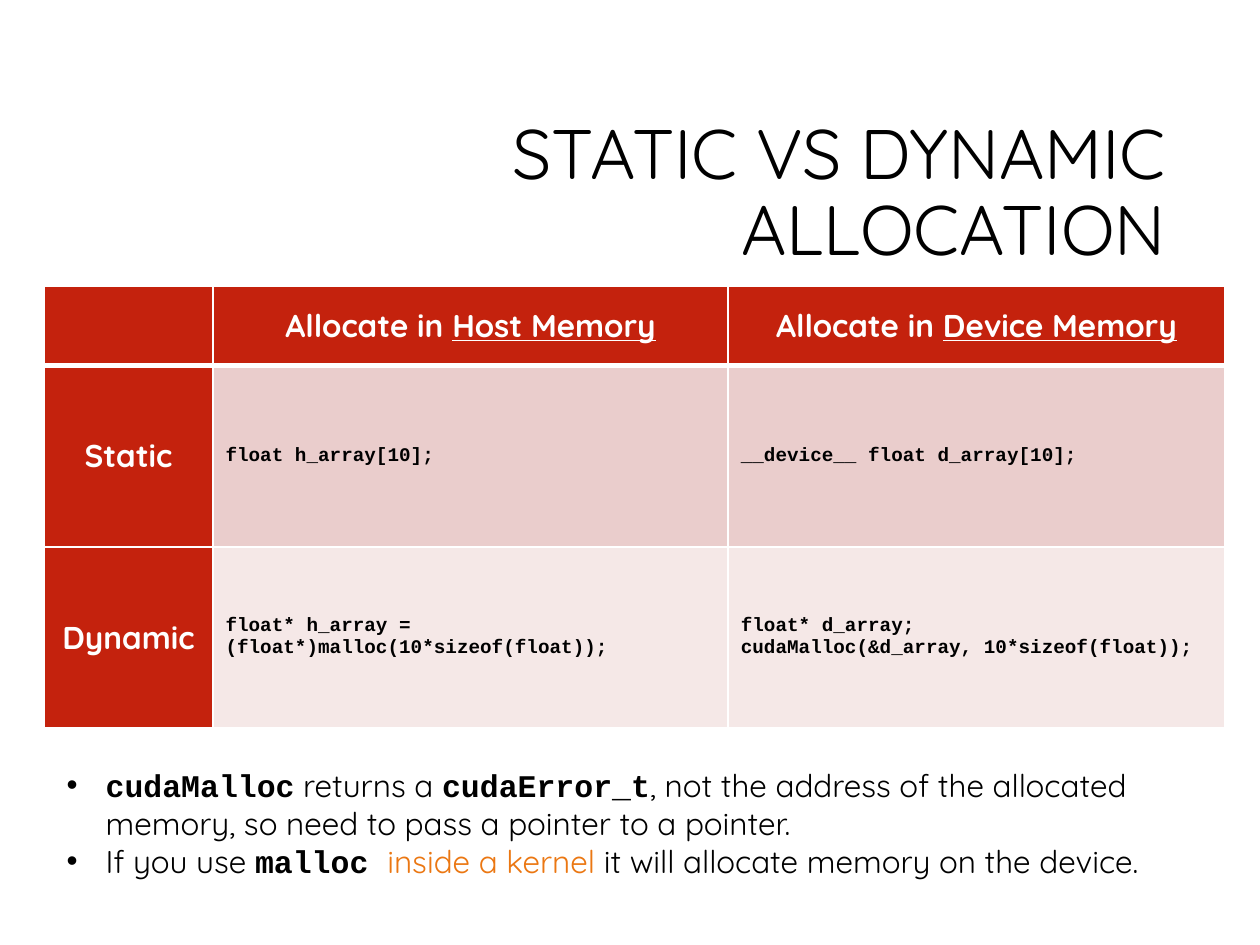
import pptx
import pptx.dml.color
import pptx.enum.text
import pptx.oxml
import pptx.oxml.ns
import pptx.util
from lxml import etree

Inches = pptx.util.Inches
RGBColor = pptx.dml.color.RGBColor
ALIGN = pptx.enum.text.PP_ALIGN
ANCHOR = pptx.enum.text.MSO_ANCHOR

BLACK = RGBColor(0x00, 0x00, 0x00)
WHITE = RGBColor(0xFF, 0xFF, 0xFF)
RED = RGBColor(0xC4, 0x22, 0x0D)
ROSE = RGBColor(0xEA, 0xCD, 0xCC)
PALE_ROSE = RGBColor(0xF5, 0xE8, 0xE7)
ORANGE = RGBColor(0xEB, 0x77, 0x12)

BODY_FONT = "Quicksand"
CODE_FONT = "Courier New"


def add_run(paragraph, text, font=BODY_FONT, size=18, color=BLACK, bold=False, underline=False):
    run = paragraph.add_run()
    run.text = text
    run.font.name = font
    run.font.size = pptx.util.Pt(size)
    run.font.color.rgb = color
    run.font.bold = bold
    run.font.underline = underline


def add_child(parent, tag, **attributes):
    child = etree.SubElement(parent, pptx.oxml.ns.qn(tag))
    for name, value in attributes.items():
        child.set(name, str(value))
    return child


def write_paragraphs(text_frame, paragraphs, align=ALIGN.LEFT, **style):
    """Fill a frame from lists of (text, format) runs; style is the shared default."""
    for index, runs in enumerate(paragraphs):
        paragraph = text_frame.add_paragraph() if index else text_frame.paragraphs[0]
        paragraph.alignment = align
        for text, run_style in runs:
            add_run(paragraph, text, **{**style, **run_style})


class SlideBuilder:
    heading = {"align": ALIGN.CENTER, "color": WHITE, "bold": True}
    code = {"font": CODE_FONT, "size": 11, "bold": True}

    def __init__(self, slide):
        self.slide = slide

    def text_box(self, left, top, width, height, paragraphs, anchor=ANCHOR.TOP, **style):
        box = self.slide.shapes.add_textbox(
            Inches(left), Inches(top), Inches(width), Inches(height))
        text_frame = box.text_frame
        text_frame.word_wrap = True
        text_frame.vertical_anchor = anchor
        write_paragraphs(text_frame, paragraphs, **style)
        return text_frame

    def title(self, text, left, top, width, height):
        text_frame = self.text_box(left, top, width, height, [[(text, {})]],
                                   anchor=ANCHOR.MIDDLE, align=ALIGN.RIGHT, size=40)
        text_frame.paragraphs[0].line_spacing = 0.9

    def bullets(self, paragraphs, left, top, width, height):
        text_frame = self.text_box(left, top, width, height, paragraphs)
        indent = Inches(0.31)
        for paragraph in text_frame.paragraphs:
            properties = paragraph._p.get_or_add_pPr()
            properties.set("marL", str(indent))
            properties.set("indent", str(-indent))
            add_child(properties, "a:buFont", typeface="Arial")
            add_child(properties, "a:buChar", char="•")

    def table(self, rows, left, top, widths, heights):
        """Draw a table whose first row and first column are headings."""
        frame = self.slide.shapes.add_table(
            len(heights), len(widths), Inches(left), Inches(top),
            Inches(sum(widths)), Inches(sum(heights)))
        table = frame.table
        for column, width in zip(table.columns, widths):
            column.width = Inches(width)
        for row, height in zip(table.rows, heights):
            row.height = Inches(height)
        body_fills = [None, ROSE, PALE_ROSE]
        for row_index, row in enumerate(rows):
            for column_index, paragraphs in enumerate(row):
                is_heading = row_index == 0 or column_index == 0
                cell = table.cell(row_index, column_index)
                cell.vertical_anchor = ANCHOR.MIDDLE
                self.cell_borders(cell, top=3 if row_index == 1 else 1,
                                  bottom=3 if row_index == 0 else 1)
                cell.fill.solid()
                cell.fill.fore_color.rgb = RED if is_heading else body_fills[row_index]
                write_paragraphs(cell.text_frame, paragraphs,
                                 **(self.heading if is_heading else self.code))

    def cell_borders(self, cell, top, bottom):
        properties = cell._tc.get_or_add_tcPr()
        for side, points in (("L", 1), ("R", 1), ("T", top), ("B", bottom)):
            line = add_child(properties, f"a:ln{side}", w=pptx.util.Pt(points))
            add_child(add_child(line, "a:solidFill"), "a:srgbClr", val=WHITE)


def main():
    presentation = pptx.Presentation()
    presentation.slide_width = Inches(10)
    presentation.slide_height = Inches(7.5)
    builder = SlideBuilder(presentation.slides.add_slide(presentation.slide_layouts[6]))

    builder.title("STATIC VS DYNAMIC ALLOCATION", 2.38, 0.84, 6.97, 1.41)

    underlined = {"underline": True}
    rows = [
        [[],
         [[("Allocate in ", {}), ("Host Memory", underlined)]],
         [[("Allocate in ", {}), ("Device Memory", underlined)]]],
        [[[("Static", {})]],
         [[("float h_array[10];", {})]],
         [[("__device__ float d_array[10];", {})]]],
        [[[("Dynamic", {})]],
         [[("float* h_array = (float*)malloc(10*sizeof(float));", {})]],
         [[("float* d_array;", {})],
          [("cudaMalloc(&d_array, 10*sizeof(float));", {})]]],
    ]
    builder.table(rows, 0.35, 2.27, widths=[1.34, 4.09, 3.94], heights=[0.63, 1.44, 1.44])

    code_word = {"font": CODE_FONT, "bold": True}
    notes = [
        [("cudaMalloc", code_word), (" returns a ", {}), ("cudaError_t", code_word),
         (", not the address of the allocated memory, "
          "so need to pass a pointer to a pointer.", {})],
        [("If you use ", {}), ("malloc ", code_word),
         ("inside a kernel ", {"color": ORANGE}),
         ("it will allocate memory on the device.", {})],
    ]
    builder.bullets(notes, 0.43, 6.03, 9.45, 1.31)

    presentation.save("out.pptx")


if __name__ == "__main__":
    main()
